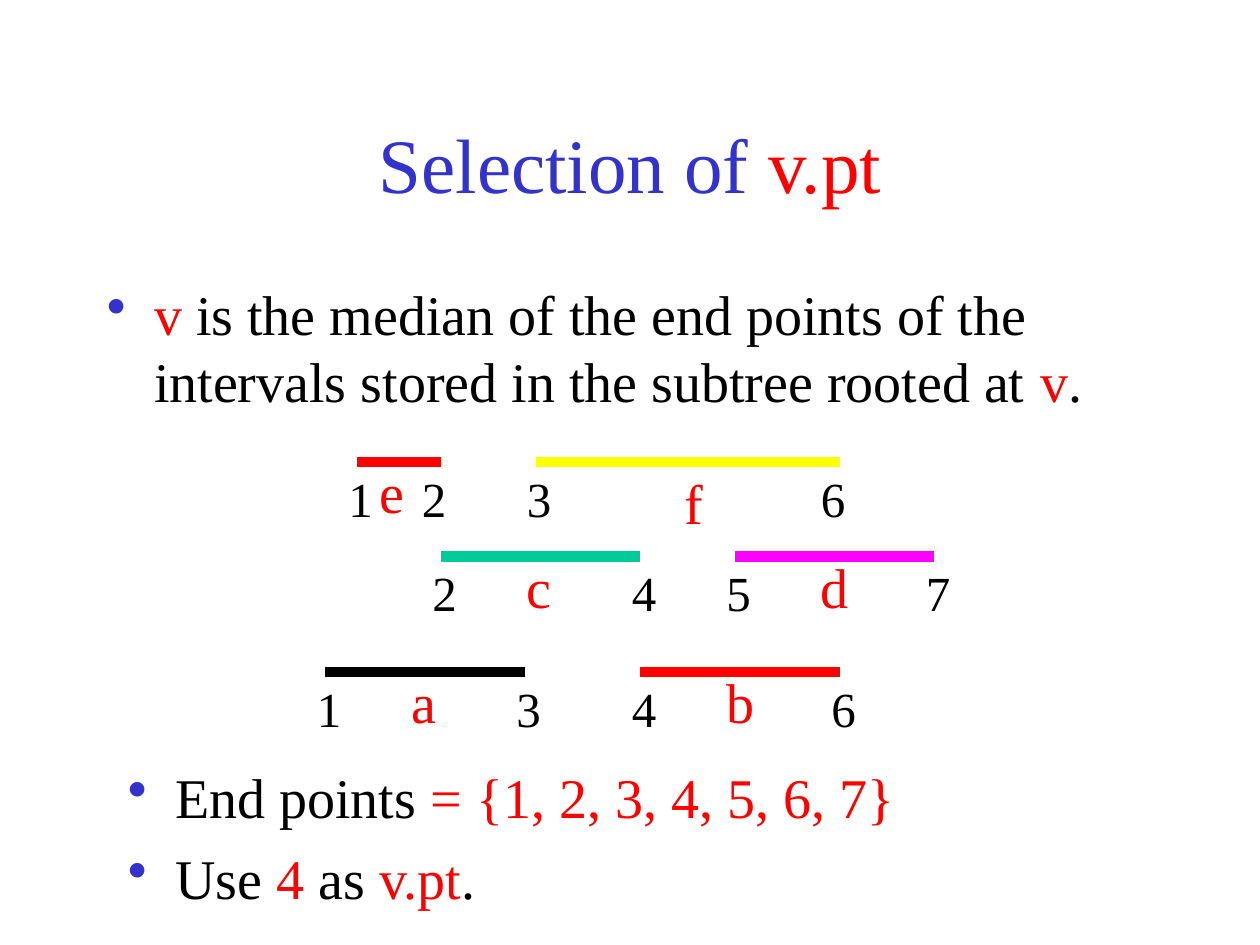
from dataclasses import dataclass

import lxml.etree
import pptx
import pptx.dml.color
import pptx.enum.shapes
import pptx.enum.text
import pptx.oxml.ns
import pptx.util

RGBColor = pptx.dml.color.RGBColor
BLUE = RGBColor(0x33, 0x33, 0xCC)
RED = RGBColor(0xFF, 0x00, 0x00)
BLACK = RGBColor(0x00, 0x00, 0x00)
GREEN = RGBColor(0x00, 0xCC, 0x99)
YELLOW = RGBColor(0xFF, 0xFF, 0x00)
MAGENTA = RGBColor(0xFF, 0x00, 0xFF)

FONT = "Times New Roman"
EMU_PER_PX = 9525  # 96 px to the inch
LABEL_WIDTH = 40
START_SHIFT = -16
TITLE_ONLY = 5

Runs = list[tuple[str, RGBColor]]


@dataclass
class Interval:
    """A line from left to right, its name and its two end points."""
    name: str
    color: RGBColor
    y: int
    left: int
    right: int
    start: str
    end: str
    name_left: int
    name_drop: int = -8
    end_shift: int = -16


INTERVALS = [
    Interval("e", RED, 352, 272, 336, "1", "2", 280, end_shift=-24),
    Interval("f", YELLOW, 352, 408, 640, "3", "6", 512, name_drop=0,
             end_shift=-24),
    Interval("c", GREEN, 424, 336, 488, "2", "4", 392),
    Interval("d", MAGENTA, 424, 560, 712, "5", "7", 616),
    Interval("a", BLACK, 512, 248, 400, "1", "3", 304),
    Interval("b", RED, 512, 488, 640, "4", "6", 544),
]


def px(length: int) -> int:
    return length * EMU_PER_PX


def add_bullet(paragraph) -> None:
    properties = paragraph._p.get_or_add_pPr()
    properties.set("marL", str(px(36)))
    properties.set("indent", str(px(-36)))
    color = lxml.etree.SubElement(properties, pptx.oxml.ns.qn("a:buClr"))
    lxml.etree.SubElement(color, pptx.oxml.ns.qn("a:srgbClr"), val=str(BLUE))
    lxml.etree.SubElement(properties, pptx.oxml.ns.qn("a:buChar"), char="•")


def write_text(shape, paragraphs: list[Runs], *, size: int,
               bullet: bool = False, space_before: int = 0,
               align=pptx.enum.text.PP_ALIGN.LEFT,
               anchor=pptx.enum.text.MSO_ANCHOR.TOP) -> None:
    frame = shape.text_frame
    frame.word_wrap = True
    frame.auto_size = pptx.enum.text.MSO_AUTO_SIZE.NONE
    frame.vertical_anchor = anchor
    for index, runs in enumerate(paragraphs):
        paragraph = frame.add_paragraph() if index else frame.paragraphs[0]
        if bullet:
            add_bullet(paragraph)
        paragraph.alignment = align
        if index:
            paragraph.space_before = pptx.util.Pt(space_before)
        for text, color in runs:
            run = paragraph.add_run()
            run.text = text
            run.font.name = FONT
            run.font.size = pptx.util.Pt(size)
            run.font.color.rgb = color


def add_text(slide, left: int, top: int, width: int, height: int,
             paragraphs: list[Runs], **text_format) -> None:
    box = slide.shapes.add_textbox(px(left), px(top), px(width), px(height))
    write_text(box, paragraphs, **text_format)


def add_interval(slide, interval: Interval) -> None:
    line = slide.shapes.add_connector(
        pptx.enum.shapes.MSO_CONNECTOR.STRAIGHT,
        px(interval.left), px(interval.y), px(interval.right), px(interval.y))
    line.line.color.rgb = interval.color
    line.line.width = pptx.util.Pt(6)
    lxml.etree.SubElement(line._element.spPr, pptx.oxml.ns.qn("a:effectLst"))

    end_points = [
        (interval.start, interval.left + START_SHIFT),
        (interval.end, interval.right + interval.end_shift),
    ]
    for text, left in end_points:
        add_text(slide, left, interval.y, LABEL_WIDTH, 55,
                 [[(text, BLACK)]], size=28)
    add_text(slide, interval.name_left, interval.y + interval.name_drop,
             LABEL_WIDTH, 61, [[(interval.name, RED)]], size=32)


def main() -> None:
    presentation = pptx.Presentation()
    presentation.slide_width = px(960)
    presentation.slide_height = px(720)
    slide = presentation.slides.add_slide(
        presentation.slide_layouts[TITLE_ONLY])

    # Title
    title = slide.shapes.title
    title.left, title.top = px(72), px(64)
    title.width, title.height = px(816), px(120)
    write_text(title, [[("Selection of ", BLUE), ("v.pt", RED)]], size=44,
               align=pptx.enum.text.PP_ALIGN.CENTER,
               anchor=pptx.enum.text.MSO_ANCHOR.MIDDLE)

    # Definition
    add_text(slide, 72, 208, 816, 120, [[
        ("v", RED),
        (" is the median of the end points of the intervals stored in the"
         " subtree rooted at ", BLACK),
        ("v", RED),
        (".", BLACK),
    ]], size=32, bullet=True)

    # Intervals
    for interval in INTERVALS:
        add_interval(slide, interval)

    # Conclusion
    add_text(slide, 88, 576, 816, 120, [
        [("End points", BLACK), (" = {1, 2, 3, 4, 5, 6, 7}", RED)],
        [("Use ", BLACK), ("4 ", RED), ("as", BLACK), (" v.pt", RED),
         (".", BLACK)],
    ], size=32, bullet=True, space_before=8)

    presentation.save("out.pptx")


if __name__ == "__main__":
    main()
